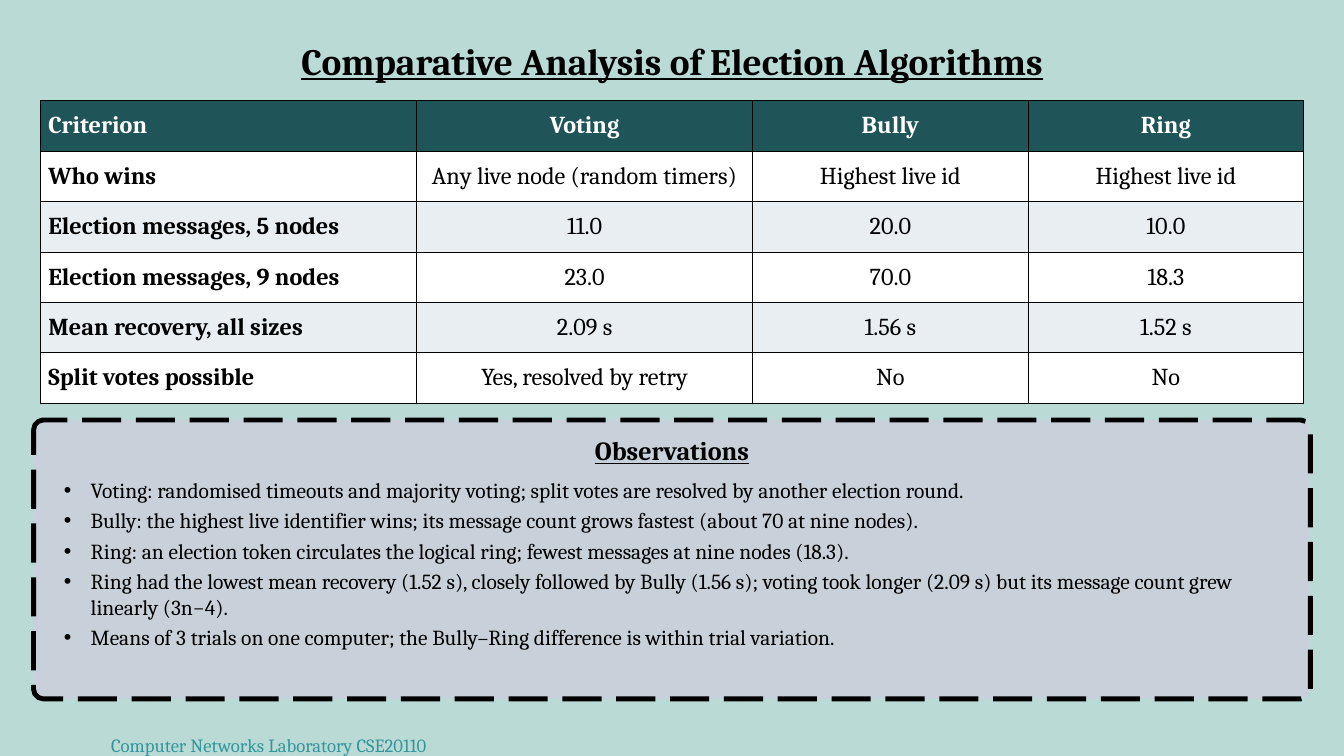
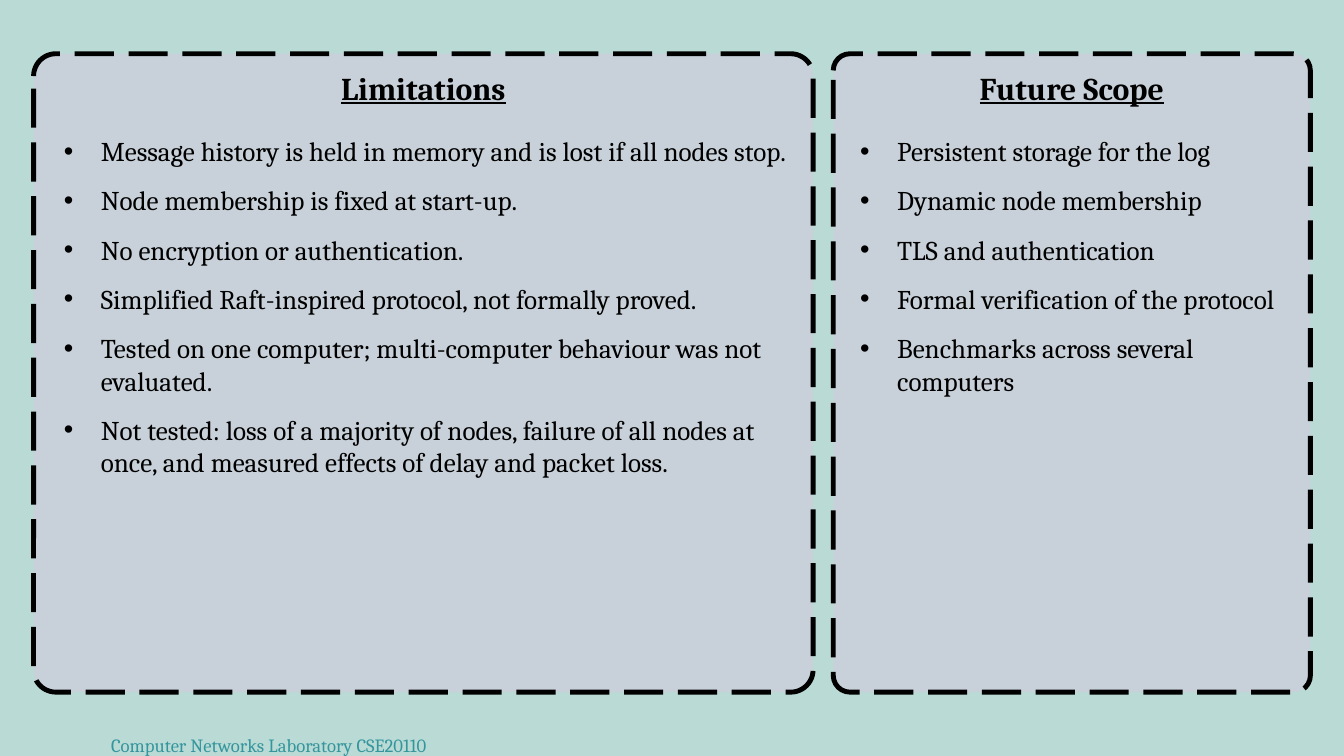
from lxml import etree
from pptx import Presentation
from pptx.dml.color import RGBColor
from pptx.enum.dml import MSO_LINE
from pptx.enum.shapes import MSO_SHAPE
from pptx.enum.text import MSO_ANCHOR, MSO_AUTO_SIZE, PP_ALIGN
from pptx.oxml.ns import qn
from pptx.util import Pt

ROUND = MSO_SHAPE.ROUNDED_RECTANGLE
DASH = MSO_LINE.LONG_DASH
TOP, MIDDLE = MSO_ANCHOR.TOP, MSO_ANCHOR.MIDDLE
LEFT, CENTER = PP_ALIGN.LEFT, PP_ALIGN.CENTER
GROW = MSO_AUTO_SIZE.SHAPE_TO_FIT_TEXT

PX = 9144
FONT = "Cambria"
COLORS = {
    "page": "BADAD5",
    "panel": "C8D1D9",
    "head": "1F5459",
    "band": "E8EEF2",
    "white": "FFFFFF",
    "ink": "000000",
    "foot": "34969D",
}


def color(name):
    return RGBColor.from_string(COLORS[name])


def write(frame, lines, size=26, ink="ink", bold=False, under=False,
          align=LEFT, after=0, pitch=None, indent=0):
    for i, line in enumerate(lines):
        para = frame.paragraphs[0] if i == 0 else frame.add_paragraph()
        para.alignment = align
        para.space_before = Pt(0)
        para.space_after = Pt(after)
        if pitch:
            para.line_spacing = Pt(pitch)
        props = para._p.get_or_add_pPr()
        props.set("marL", str(indent * PX))
        props.set("indent", str(-indent * PX))
        if indent:
            etree.SubElement(props, qn("a:buChar"), char="•")
        else:
            etree.SubElement(props, qn("a:buNone"))
        run = para.add_run()
        run.text = line
        font = run.font
        font.name, font.size = FONT, Pt(size)
        font.bold, font.underline = bold, under
        font.color.rgb = color(ink)


class Deck:
    def __init__(self):
        self.show = Presentation()
        self.show.slide_width = 2000 * PX
        self.show.slide_height = 1125 * PX
        self.slide = None

    def page(self, layout):
        self.slide = self.show.slides.add_slide(self.show.slide_layouts[layout])
        fill = self.slide.background.fill
        fill.solid()
        fill.fore_color.rgb = color("page")
        self.text((0, 1076, 800, 49), ["Computer Networks Laboratory CSE20110"],
                  size=20, ink="foot", align=CENTER, pitch=35)

    def text(self, spot, lines, slot=None, anchor=TOP, **style):
        place = [n * PX for n in spot]
        if slot is None:
            box = self.slide.shapes.add_textbox(*place)
        else:
            box = self.slide.placeholders[slot]
            box.left, box.top, box.width, box.height = place
            box.element.getparent().append(box.element)
        frame = box.text_frame
        frame.word_wrap = True
        frame.auto_size = GROW
        frame.vertical_anchor = anchor
        frame.margin_left = frame.margin_right = 0
        frame.margin_top = frame.margin_bottom = 0
        write(frame, lines, **style)

    def title(self, spot, words, size, slot=None):
        self.text(spot, [words], slot, MIDDLE, size=size, bold=True,
                  under=True, align=CENTER, after=6)

    def bullets(self, spot, lines, slot, **style):
        self.text(spot, lines, slot, **style)

    def panel(self, *spot):
        box = self.slide.shapes.add_shape(ROUND, *[n * PX for n in spot])
        box.adjustments[0] = 0.035
        box.shadow.inherit = False
        box.fill.solid()
        box.fill.fore_color.rgb = color("panel")
        box.line.color.rgb = color("ink")
        box.line.width = Pt(5.25)
        box.line.dash_style = DASH

    def table(self, left, top, widths, height, rows):
        grid = self.slide.shapes.add_table(
            len(rows), len(widths), left * PX, top * PX,
            sum(widths) * PX, height * len(rows) * PX).table
        for col, width in zip(grid.columns, widths):
            col.width = width * PX
        for r, row in enumerate(rows):
            grid.rows[r].height = height * PX
            fill = "head" if r == 0 else "white" if r % 2 else "band"
            for c, words in enumerate(row):
                cell = grid.cell(r, c)
                self.edges(cell)
                cell.fill.solid()
                cell.fill.fore_color.rgb = color(fill)
                cell.vertical_anchor = MIDDLE
                cell.margin_left = cell.margin_right = 12 * PX
                cell.margin_top = cell.margin_bottom = 5 * PX
                write(cell.text_frame, [words], bold=r == 0 or c == 0,
                      ink="ink" if r else "white",
                      align=CENTER if c else LEFT)

    def edges(self, cell):
        props = cell._tc.get_or_add_tcPr()
        for side in "LRTB":
            line = etree.SubElement(props, qn(f"a:ln{side}"), w=str(Pt(1)))
            fill = etree.SubElement(line, qn("a:solidFill"))
            etree.SubElement(fill, qn("a:srgbClr"), val=COLORS["ink"])


def compare(deck):
    deck.page(1)
    deck.title((150, 45, 1700, 90), "Comparative Analysis of Election Algorithms", 40, 0)
    deck.table(60, 150, [560, 500, 410, 410], 75, [
        ["Criterion", "Voting", "Bully", "Ring"],
        ["Who wins", "Any live node (random timers)", "Highest live id", "Highest live id"],
        ["Election messages, 5 nodes", "11.0", "20.0", "10.0"],
        ["Election messages, 9 nodes", "23.0", "70.0", "18.3"],
        ["Mean recovery, all sizes", "2.09 s", "1.56 s", "1.52 s"],
        ["Split votes possible", "Yes, resolved by retry", "No", "No"],
    ])
    deck.panel(50, 625, 1900, 415)
    deck.title((50, 635, 1900, 70), "Observations", 28)
    deck.bullets((95, 710, 1810, 330), [
        "Voting: randomised timeouts and majority voting; split votes are resolved by another election round.",
        "Bully: the highest live identifier wins; its message count grows fastest (about 70 at nine nodes).",
        "Ring: an election token circulates the logical ring; fewest messages at nine nodes (18.3).",
        "Ring had the lowest mean recovery (1.52 s), closely followed by Bully (1.56 s); "
        "voting took longer (2.09 s) but its message count grew linearly (3n−4).",
        "Means of 3 trials on one computer; the Bully–Ring difference is within trial variation.",
    ], 1, size=23, after=5, indent=40)


def outlook(deck):
    limits = [
        "Message history is held in memory and is lost if all nodes stop.",
        "Node membership is fixed at start-up.",
        "No encryption or authentication.",
        "Simplified Raft-inspired protocol, not formally proved.",
        "Tested on one computer; multi-computer behaviour was not evaluated.",
        "Not tested: loss of a majority of nodes, failure of all nodes at once, "
        "and measured effects of delay and packet loss.",
    ]
    future = [
        "Persistent storage for the log",
        "Dynamic node membership",
        "TLS and authentication",
        "Formal verification of the protocol",
        "Benchmarks across several computers",
    ]
    deck.page(3)
    for left, width, start, span, head, lines, top_slot, slot in (
        (50, 1160, 95, 1080, "Limitations", limits, 0, 1),
        (1240, 710, 1280, 640, "Future Scope", future, None, 2),
    ):
        deck.panel(left, 80, width, 950)
        deck.title((left, 95, width, 70), head, 34, top_slot)
        deck.bullets((start, 200, span, 820), lines, slot,
                     size=29, after=18, indent=55)


def main():
    deck = Deck()
    compare(deck)
    outlook(deck)
    deck.show.save("out.pptx")


if __name__ == "__main__":
    main()
